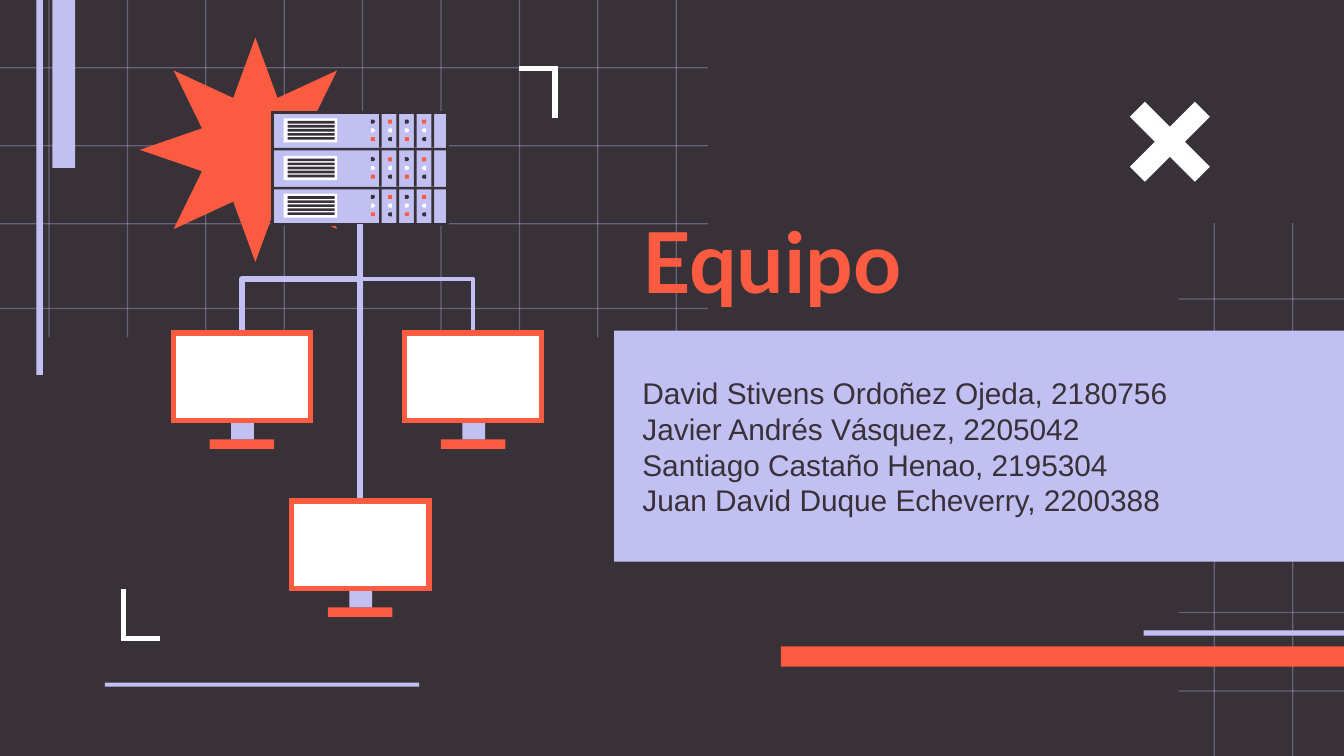
import pptx
import pptx.dml.color
import pptx.enum.shapes
import pptx.enum.text
import pptx.oxml
import pptx.oxml.ns
import pptx.util

KIND = pptx.enum.shapes.MSO_SHAPE
LINK = pptx.enum.shapes.MSO_CONNECTOR
COLS = 10
ROWS = COLS * 9 / 16  # square cells
HUES = {"ink": "383138", "lilac": "C2C0F2", "red": "FA5B41", "white": "FFFFFF"}


def hue(name):
    return pptx.dml.color.RGBColor.from_string(HUES[name])


def apply(item, props):
    for key, val in props.items():
        setattr(item, key, val)


def node(tag, attrs=""):
    return pptx.oxml.parse_xml("<a:%s %s %s/>" % (tag, pptx.oxml.ns.nsdecls("a"), attrs))


class Deck:
    """Holds the style and the current slide; places are columns and rows."""

    frame = {
        "margin_left": pptx.util.Inches(0.1),
        "margin_right": pptx.util.Inches(0.1),
        "margin_top": pptx.util.Inches(0.1),
        "margin_bottom": pptx.util.Inches(0.1),
        "word_wrap": True,
        "auto_size": pptx.enum.text.MSO_AUTO_SIZE.NONE,
        "vertical_anchor": pptx.enum.text.MSO_ANCHOR.MIDDLE,
    }
    para = {
        "alignment": pptx.enum.text.PP_ALIGN.LEFT,
        "space_before": pptx.util.Pt(0),
        "space_after": pptx.util.Pt(0),
        "line_spacing": 1.0,
    }

    def __init__(self):
        self.prs = pptx.Presentation()
        self.cell = pptx.util.Inches(1)
        apply(self.prs, {"slide_width": self.size(COLS), "slide_height": self.size(ROWS)})
        self.slide = self.prs.slides.add_slide(self.prs.slide_layouts[0])
        fill = self.slide.background.fill
        fill.solid()
        fill.fore_color.rgb = hue("ink")

    def size(self, span):
        return pptx.util.Emu(round(span * self.cell))

    def shape(self, box, color, kind=KIND.RECTANGLE, edge=None, alpha=None, adj=None, turn=0):
        """Draw a filled preset; edge is a pair of colour and points."""
        item = self.slide.shapes.add_shape(kind, *map(self.size, box))
        item.shadow.inherit = False
        item.rotation = turn
        item.fill.solid()
        item.fill.fore_color.rgb = hue(color)
        props = item._element.spPr
        if edge:
            item.line.color.rgb = hue(edge[0])
            item.line.width = pptx.util.Pt(edge[1])
            props.find(pptx.oxml.ns.qn("a:ln")).append(node("miter", "lim='800000'"))
        else:
            item.line.fill.background()
        if adj:
            item.adjustments[0] = adj
        if alpha:
            tone = props.find(".//" + pptx.oxml.ns.qn("a:srgbClr"))
            tone.append(node("alpha", "val='%d'" % (alpha * 1000)))
        return item

    def line(self, start, end, color, width=3, kind=LINK.STRAIGHT):
        item = self.slide.shapes.add_connector(kind, *map(self.size, start + end))
        item.line.color.rgb = hue(color)
        item.line.width = pptx.util.Pt(width)
        item._element.spPr.append(node("effectLst"))
        return item

    def elbow(self, start, end, color, width):
        """Draw a bent link that leaves and arrives vertically."""
        midx, midy = (start[0] + end[0]) / 2, (start[1] + end[1]) / 2
        half, side = (end[1] - start[1]) / 2, (start[0] - end[0]) / 2
        item = self.line((midx - half, midy - side), (midx + half, midy + side),
                         color, width, LINK.ELBOW)
        item._element.spPr.find(pptx.oxml.ns.qn("a:xfrm")).set("rot", "5400000")

    def text(self, slot, box, lines, font, color):
        """Fill a placeholder and bring it to the front."""
        item = self.slide.placeholders[slot]
        apply(item, dict(zip(("left", "top", "width", "height"), map(self.size, box))))
        apply(item.text_frame, self.frame)
        item.text_frame.text = "\n".join(lines)
        for para in item.text_frame.paragraphs:
            apply(para, self.para)
            for run in para.runs:
                apply(run.font, font)
                run.font.color.rgb = hue(color)
        self.slide.shapes._spTree.append(item._element)

    def mesh(self, xs, ys, area):
        """Draw faint lines at xs and ys across the area (left, top, right, bottom)."""
        left, top, right, low = area
        boxes = [(left, y, right - left, 0.01) for y in ys]
        boxes += [(x, top, 0.01, low - top) for x in xs]
        for box in boxes:
            self.shape(box, "lilac", alpha=35)

    def screen(self, x, y):
        self.shape((x + 0.27, y + 0.79, 0.48, 0.07), "red")
        self.shape((x + 0.43, y + 0.65, 0.17, 0.14), "lilac")
        return self.shape((x, y, 1.02, 0.65), "white", edge=("red", 3))

    def light(self, x, y, color, turn):
        kind = KIND.RECTANGLE if color == "red" else KIND.FLOWCHART_DELAY
        self.shape((x, y, 0.03, 0.03), color, kind, turn=turn)

    def unit(self, top, high, inner):
        """Draw one server unit: vent, lights and dividers."""
        self.shape((2.11, inner, 0.4, 0.18), "white")
        for i in range(5):
            self.shape((2.14, inner + 0.02 + 0.03 * i, 0.35, 0.02), "ink")
        for col in range(4):
            order = ("red", "white", "ink") if col % 2 else ("ink", "white", "red")
            for row, color in enumerate(order):
                self.light(2.76 + 0.38 / 3 * col, inner + 0.01 + 0.13 / 2 * row,
                           color, 180 * (col % 2))
            self.shape((2.82 + 0.13 * col, top, 0.02, high), "ink")

    def server(self):
        case = self.shape((2.03, 0.84, 1.3, 0.83), "lilac", edge=("ink", 1.5))
        for top, high, inner in ((0.84, 0.26, 0.88), (1.11, 0.28, 1.16), (1.4, 0.26, 1.44)):
            self.unit(top, high, inner)
        for y in (1.1, 1.39):
            self.shape((2.03, y, 1.3, 0.02), "ink")
        return case


def main():
    deck = Deck()
    gap = 7 / 12
    deck.mesh([9.03 + gap * i for i in range(2)], [2.22 + gap * i for i in range(6)],
              (8.77, 1.66, COLS, ROWS))
    deck.mesh([0.36 + gap * i for i in range(9)], (0.5, 1.08, 1.66, 2.29),
              (0, 0, 5.27, 2.51))

    for box, color in (
        ((5.81, 4.81, 4.19, 0.15), "red"),
        ((8.51, 4.69, 1.49, 0.04), "lilac"),
        ((0.78, 5.08, 2.34, 0.03), "lilac"),
        ((0.39, 0, 0.17, 1.25), "lilac"),
        ((0.27, 0, 0.05, 2.79), "lilac"),
        ((4.57, 2.46, 5.43, 1.72), "lilac"),
    ):
        deck.shape(box, color)
    deck.shape((8.24, 0.59, 0.93, 0.93), "white", KIND.MATH_MULTIPLY, adj=0.17)

    deck.text(0, (4.68, 1.52, 4.25, 0.83), ["Equipo"],
              {"name": "Lato", "size": pptx.util.Pt(45), "bold": True}, "red")
    team = ["David Stivens Ordoñez Ojeda, 2180756", "Javier Andrés Vásquez, 2205042",
            "Santiago Castaño Henao, 2195304", "Juan David Duque Echeverry, 2200388"]
    deck.text(1, (4.68, 2.57, 4.25, 1.5), team,
              {"name": "Arial", "size": pptx.util.Pt(16)}, "ink")

    for start, end in (((4.13, 0.88), (4.13, 0.51)), ((4.15, 0.51), (3.86, 0.51)),
                       ((0.92, 4.38), (0.92, 4.75)), ((0.9, 4.75), (1.19, 4.75))):
        deck.line(start, end, "white")

    deck.shape((1.04, 0.28, 1.72, 1.67), "red", KIND.STAR_8_POINT, adj=0.25)
    root = (2.68, 1.67)
    deck.elbow(root, (1.8, 2.48), "lilac", 3)
    deck.elbow(root, (3.52, 2.48), "lilac", 2.25)
    case = deck.server()
    trunk = deck.line(root, (2.68, 3.73), "lilac")
    for x in (1.29, 3.01):
        deck.screen(x, 2.48)
    trunk.begin_connect(case, 2)
    trunk.end_connect(deck.screen(2.17, 3.73), 0)

    deck.prs.save("out.pptx")


if __name__ == "__main__":
    main()
